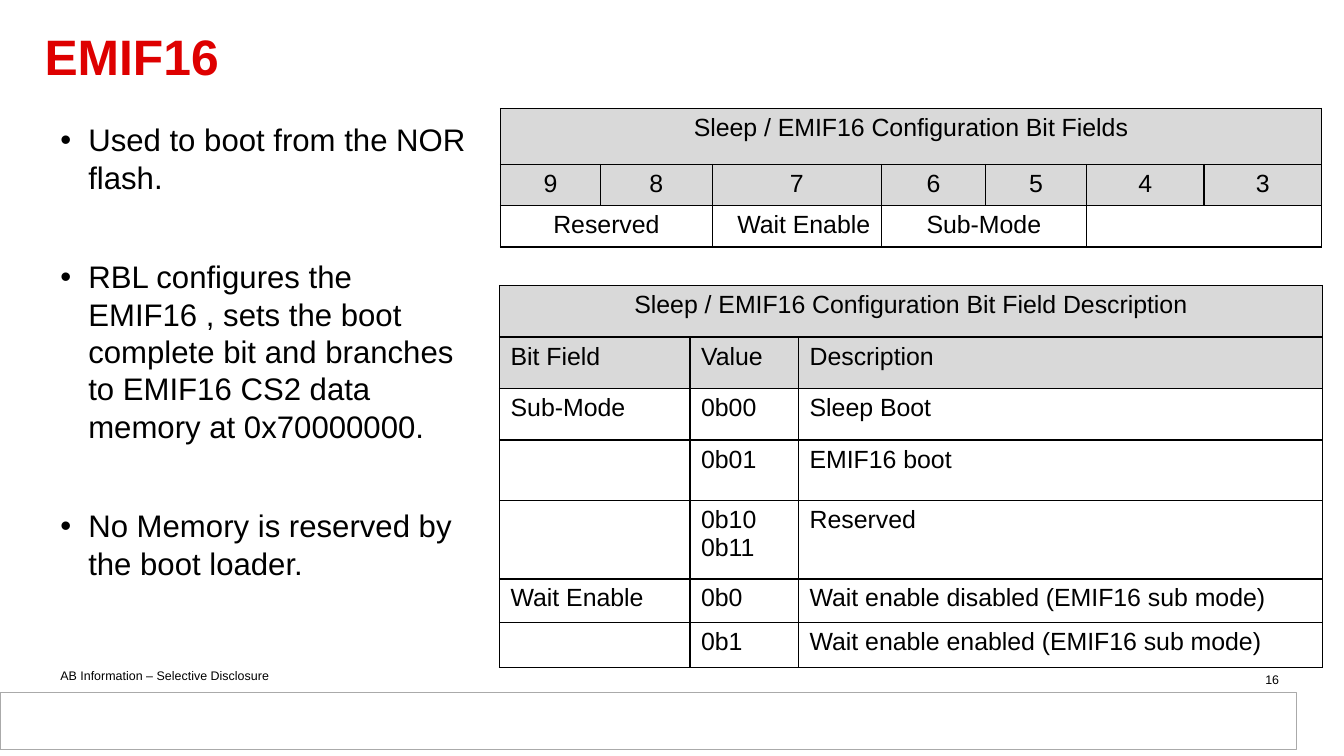
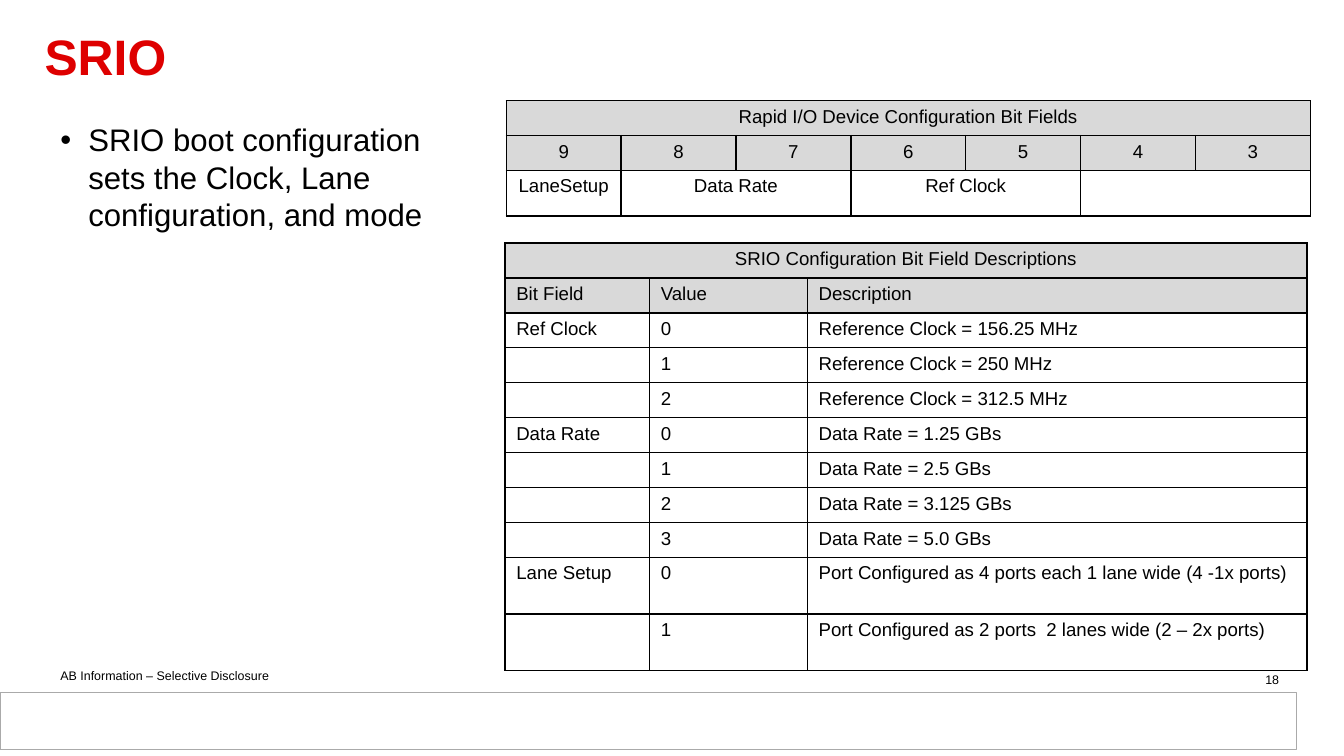
from lxml import etree
from pptx import Presentation
from pptx import util as u
from pptx.dml.color import RGBColor
from pptx.enum import shapes, text
from pptx.oxml.ns import qn

# Shared look
FONT = "Arial"
BLACK, WHITE, RED = "000000", "FFFFFF", "DE0000"
HEADER_GREY, BAND_LINE = "D9D9D9", "AAAAAA"
LEFT, CENTER, RIGHT = (text.PP_ALIGN.LEFT, text.PP_ALIGN.CENTER,
                       text.PP_ALIGN.RIGHT)

# The slide is a grid of 120 columns by 67.5 rows
SLIDE_W, SLIDE_H = u.Inches(12), u.Inches(6.75)
UNIT = SLIDE_W / 120
INDENT = 2.5
TABLE_LEFT = 45


def grid(n):
    return u.Emu(round(n * UNIT))


def box(*cells):
    return [grid(n) for n in cells]


def color(value):
    return RGBColor.from_string(value)


def add_run(p, words, size, ink=BLACK, bold=False):
    r = p.add_run()
    r.text = words
    r.font.name, r.font.size, r.font.bold = FONT, u.Pt(size), bold
    r.font.color.rgb = color(ink)


def hang(p, bullet=None):
    """Hanging indent, with a bullet if one is given."""
    pPr = p._p.get_or_add_pPr()
    pPr.set("marL", str(grid(INDENT)))
    pPr.set("indent", str(-grid(INDENT)))
    if bullet:
        etree.SubElement(pPr, qn("a:buFont"), typeface=FONT)
        etree.SubElement(pPr, qn("a:buChar"), char=bullet)


def add_text(s, place, words, size, align=LEFT, ink=BLACK, bold=False):
    tf = s.shapes.add_textbox(*box(*place)).text_frame
    tf.word_wrap = True
    p = tf.paragraphs[0]
    p.alignment = align
    add_run(p, words, size, ink, bold)
    return tf


def add_bullets(s, items):
    tf = s.shapes.add_textbox(*box(4.4, 10.3, 39.7, 48.7)).text_frame
    tf.word_wrap = True
    for i, item in enumerate(items):
        p = tf.add_paragraph() if i else tf.paragraphs[0]
        p.line_spacing = u.Pt(24)
        p.space_before = u.Pt(40 if i else 0)
        hang(p, "•")
        add_run(p, item, 20)


# Tables
def border(cell):
    tcPr = cell._tc.get_or_add_tcPr()
    for i, side in enumerate(("lnL", "lnR", "lnT", "lnB")):
        ln = etree.Element(qn("a:" + side), w=str(u.Pt(1)))
        fill = etree.SubElement(ln, qn("a:solidFill"))
        etree.SubElement(fill, qn("a:srgbClr"), val=BLACK)
        tcPr.insert(i, ln)


def fill_cell(cell, words, size, align, header):
    if header:
        cell.fill.solid()
        cell.fill.fore_color.rgb = color(HEADER_GREY)
    else:
        cell.fill.background()
    border(cell)
    tf = cell.text_frame
    for i, line in enumerate((words or "").split("\n")):
        p = tf.add_paragraph() if i else tf.paragraphs[0]
        p.alignment = align
        hang(p)
        if line:
            add_run(p, line, size)
        else:
            etree.SubElement(p._p, qn("a:endParaRPr"), sz=str(size * 100))


def add_grid_table(s, left, top, cols, heights, rows, size, align):
    """Two header rows, then body rows; None continues the cell to its left.

    align(row, column) gives the alignment of a cell.
    """
    place = box(left, top, sum(cols), sum(heights))
    tbl = s.shapes.add_table(len(rows), len(cols), *place).table
    tbl.first_row = tbl.horz_banding = False
    for column, width in zip(tbl.columns, cols):
        column.width = grid(width)
    for row, height in zip(tbl.rows, heights):
        row.height = grid(height)
    for i, row in enumerate(rows):
        for j, words in enumerate(row):
            fill_cell(tbl.cell(i, j), words, size, align(i, j), i < 2)
        starts = [j for j, words in enumerate(row) if words is not None]
        for a, b in zip(starts, starts[1:] + [len(row)]):
            if b - a > 1:
                tbl.cell(i, a).merge(tbl.cell(i, b - 1))


def add_bit_fields(s, left, top, cols, heights, title, fields, size,
                   right_cell=None):
    rows = [[title] + [None] * 6, list("9876543"), fields]
    add_grid_table(s, left, top, cols, heights, rows, size,
                   lambda i, j: RIGHT if (i, j) == right_cell else CENTER)


def add_descriptions(s, left, top, cols, heights, title, entries, size):
    rows = [[title, None, None], ["Bit Field", "Value", "Description"]]
    add_grid_table(s, left, top, cols, heights, rows + entries, size,
                   lambda i, j: LEFT if i else CENTER)


# Parts on every slide
def add_base(prs, title, number):
    s = prs.slides.add_slide(prs.slide_layouts[6])
    s.background.fill.solid()
    s.background.fill.fore_color.rgb = color(WHITE)
    add_text(s, (4.4, 59.2, 27.7, 2.4),
             "AB Information – Selective Disclosure", 8)
    band = s.shapes.add_shape(shapes.MSO_SHAPE.RECTANGLE,
                              *box(0, 61.8, 115.8, 5.1))
    band.shadow.inherit = False
    band.fill.solid()
    band.fill.fore_color.rgb = color(WHITE)
    band.line.color.rgb = color(BAND_LINE)
    band.line.width = u.Pt(0.75)
    tf = add_text(s, (3, 1.4, 111, 8), title, 32, ink=RED, bold=True)
    tf.vertical_anchor = text.MSO_ANCHOR.MIDDLE
    tf.paragraphs[0].line_spacing = 0.85
    add_text(s, (87.2, 59.5, 28, 2), number, 8, RIGHT)
    return s


def emif_slide(prs):
    s = add_base(prs, "EMIF16", "16")
    add_bullets(s, [
        "Used to boot from the NOR flash.",
        "RBL configures the EMIF16 , sets the boot complete bit and branches "
        "to EMIF16 CS2 data memory at 0x70000000.",
        "No Memory is reserved by the boot loader."])
    add_bit_fields(
        s, TABLE_LEFT - 0.3, 9.7, [8.9, 10, 15.1, 9.3, 9, 10.5, 10.5],
        [5, 3.6, 3.5], "Sleep / EMIF16 Configuration Bit Fields",
        ["Reserved", None, "Wait Enable", "Sub-Mode", None, "", None],
        16, right_cell=(2, 2))
    add_descriptions(
        s, TABLE_LEFT - 0.4, 25.5, [17, 9.7, 46.8],
        [4.6] * 3 + [5.4, 7, 3.9, 4],
        "Sleep / EMIF16 Configuration Bit Field Description", [
            ["Sub-Mode", "0b00", "Sleep Boot"],
            ["", "0b01", "EMIF16 boot"],
            ["", "0b10\n0b11", "Reserved"],
            ["Wait Enable", "0b0", "Wait enable disabled (EMIF16 sub mode)"],
            ["", "0b1", "Wait enable enabled (EMIF16 sub mode)"]], 16)


def srio_slide(prs):
    s = add_base(prs, "SRIO", "18")
    add_bullets(s, ["SRIO boot configuration sets the Clock, Lane "
                    "configuration, and mode"])
    add_bit_fields(
        s, TABLE_LEFT + 0.2, 9, [71.8 / 7] * 7, [3.1, 3.1, 4.1],
        "Rapid I/O Device Configuration Bit Fields",
        ["LaneSetup", "Data Rate", None, "Ref Clock", None, "", None], 12)
    clocks = ["156.25", "250", "312.5"]
    rates = ["1.25", "2.5", "3.125", "5.0"]
    ports = ["4 ports each 1 lane wide (4 -1x ports)",
             "2 ports  2 lanes wide (2 – 2x ports)"]
    groups = [
        ("Ref Clock", [f"Reference Clock = {c} MHz" for c in clocks]),
        ("Data Rate", [f"Data Rate = {rate} GBs" for rate in rates]),
        ("Lane Setup", [f"Port Configured as {port}" for port in ports])]
    entries = [["" if value else field, str(value), meaning]
               for field, meanings in groups
               for value, meaning in enumerate(meanings)]
    add_descriptions(
        s, TABLE_LEFT + 0.1, 21.7, [12.9, 14.1, 44.6], [3.12] * 9 + [5.05] * 2,
        "SRIO Configuration Bit Field Descriptions", entries, 12)


def main():
    prs = Presentation()
    prs.slide_width, prs.slide_height = SLIDE_W, SLIDE_H
    emif_slide(prs)
    srio_slide(prs)
    prs.save("out.pptx")


if __name__ == "__main__":
    main()
